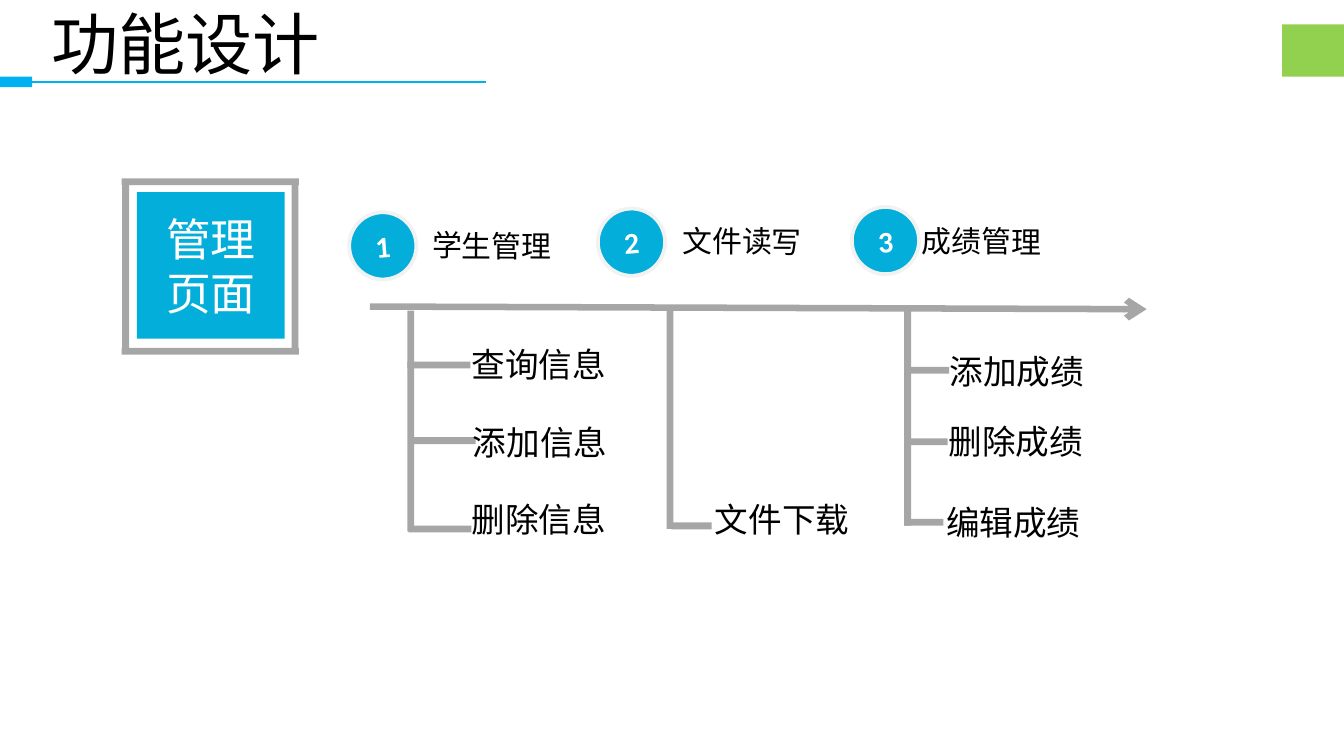
from lxml.etree import SubElement
from pptx import Presentation
from pptx.dml.color import RGBColor
from pptx.enum.shapes import MSO_CONNECTOR, MSO_SHAPE
from pptx.enum.text import MSO_ANCHOR, MSO_AUTO_SIZE, PP_ALIGN
from pptx.oxml.ns import qn
from pptx.util import Cm, Pt

# Content: lengths in cm
TITLE = "功能设计"
ROOT = "管理页面"
# Each step: name, circle corner, label corner, stem (left, top, height), branch length,
# items as (text, text left, text top, text width, branch left, branch top)
STEPS = [
    ("学生管理", (6.6, 4.01), (7.92, 4.17), (7.7, 5.87, 4.17), 1.19, [
        ("查询信息", 8.66, 6.38, 3.86, 7.7, 6.83),
        ("添加信息", 8.69, 7.85, 3.84, 7.8, 8.26),
        ("删除信息", 8.66, 9.3, 3.73, 7.72, 9.93)]),
    ("文件读写", (11.3, 3.94), (12.65, 4.09), (12.6, 5.82, 4.17), 0.76, [
        ("文件下载", 13.26, 9.3, 4.37, 12.69, 9.87)]),
    ("成绩管理", (16.1, 3.91), (17.17, 4.09), (17.09, 5.82, 4.11), 0.74, [
        ("添加成绩", 17.7, 6.5, 3.18, 17.2, 6.93),
        ("删除成绩", 17.68, 7.82, 3.18, 17.17, 8.28),
        ("编辑成绩", 17.63, 9.35, 4.37, 17.09, 9.8)]),
]
BAR = 0.13
CIRCLE = 1.27


class Theme:
    CYAN, BLUE, GREEN = "04AEDA", "00B0F0", "92D050"
    GREY, RIM, WHITE, BLACK = "A6A6A6", "F2F2F2", "FFFFFF", "000000"
    LATIN, CJK = "Calibri", "Noto Sans CJK SC"
    TITLE, ROOT, ITEM, STEP = 36, 24, 18, 16


def rgb(value):
    return RGBColor.from_string(value)


def write(frame, text, size, color, font=Theme.CJK, bold=False):
    run = frame.paragraphs[0].add_run()
    run.text = text
    run.font.size = Pt(size)
    run.font.bold = bold
    run.font.color.rgb = rgb(color)
    run.font.name = font
    SubElement(run.font._element, qn("a:ea")).set("typeface", Theme.CJK)


def add_block(left, top, width, height, fill, preset=MSO_SHAPE.RECTANGLE):
    block = slide.shapes.add_shape(preset, Cm(left), Cm(top), Cm(width), Cm(height))
    block.shadow.inherit = False
    block.fill.solid()
    block.fill.fore_color.rgb = rgb(fill)
    block.line.fill.background()
    return block


def write_centred(block, text, size, **style):
    block.text_frame.word_wrap = True
    block.text_frame.vertical_anchor = MSO_ANCHOR.MIDDLE
    block.text_frame.paragraphs[0].alignment = PP_ALIGN.CENTER
    write(block.text_frame, text, size, Theme.WHITE, **style)


def add_label(text, left, top, width, height, size, wrap=True):
    label = slide.shapes.add_textbox(Cm(left), Cm(top), Cm(width), Cm(height))
    label.text_frame.word_wrap = wrap
    label.text_frame.auto_size = MSO_AUTO_SIZE.SHAPE_TO_FIT_TEXT
    write(label.text_frame, text, size, Theme.BLACK)
    return label


def add_line(x1, y1, x2, y2, color, weight):
    line = slide.shapes.add_connector(
        MSO_CONNECTOR.STRAIGHT, Cm(x1), Cm(y1), Cm(x2), Cm(y2))
    line.line.color.rgb = rgb(color)
    line.line.width = Pt(weight)
    SubElement(line._element.spPr, qn("a:effectLst"))
    return line


deck = Presentation()
deck.slide_width, deck.slide_height = Cm(25.4), Cm(14.28)
slide = deck.slides.add_slide(deck.slide_layouts[5])

# Title with its underline and corner accent
title = slide.shapes.title
title.left, title.top, title.width, title.height = Cm(0.71), Cm(0.53), Cm(10.21), Cm(1.17)
title.text_frame.word_wrap = True
title.text_frame.auto_size = MSO_AUTO_SIZE.NONE
title.text_frame.vertical_anchor = MSO_ANCHOR.TOP
title.text_frame.paragraphs[0].alignment = PP_ALIGN.LEFT
title.text_frame.paragraphs[0].line_spacing = Pt(25.6)
write(title.text_frame, TITLE, Theme.TITLE, Theme.BLACK, font=Theme.LATIN)
tab = add_block(0, 1.45, 0.61, 0.2, Theme.BLUE)
underline = add_line(9.19, 1.55, 0.61, 1.55, Theme.BLUE, 0.75)
underline.end_connect(tab, 3)
add_block(24.23, 0.46, 1.17, 0.99, Theme.GREEN)

# Framed root box
root = add_block(2.59, 3.63, 2.79, 2.77, Theme.CYAN)
write_centred(root, ROOT, Theme.ROOT)
for left in (2.31, 5.51):
    add_block(left, 3.43, BAR, 3.2, Theme.GREY)
for top in (3.37, 6.57):
    add_block(2.3, top, 3.35, BAR, Theme.GREY)

# Main arrow
axis = add_line(6.99, 5.79, 21.67, 5.84, Theme.GREY, 3.5)
SubElement(axis.line._get_or_add_ln(), qn("a:tailEnd")).set("type", "arrow")

# Numbered steps with their branches
for number, (name, circle_at, label_at, stem, length, items) in enumerate(STEPS, 1):
    circle = add_block(*circle_at, CIRCLE, CIRCLE, Theme.CYAN,
                       MSO_SHAPE.FLOWCHART_CONNECTOR)
    circle.line.color.rgb = rgb(Theme.RIM)
    circle.line.width = Pt(2)
    circle.rotation = 355.7
    write_centred(circle, str(number), Theme.STEP, font=Theme.LATIN, bold=True)
    add_label(name, *label_at, 2.77, 0.94, Theme.STEP, wrap=False).rotation = 0.3

    stem_left, stem_top, stem_height = stem
    add_block(stem_left, stem_top, BAR, stem_height, Theme.GREY)
    for text, left, top, width, branch_left, branch_top in items:
        add_block(branch_left, branch_top, length, BAR, Theme.GREY)
        add_label(text, left, top, width, 1.02, Theme.ITEM)

deck.save("out.pptx")
